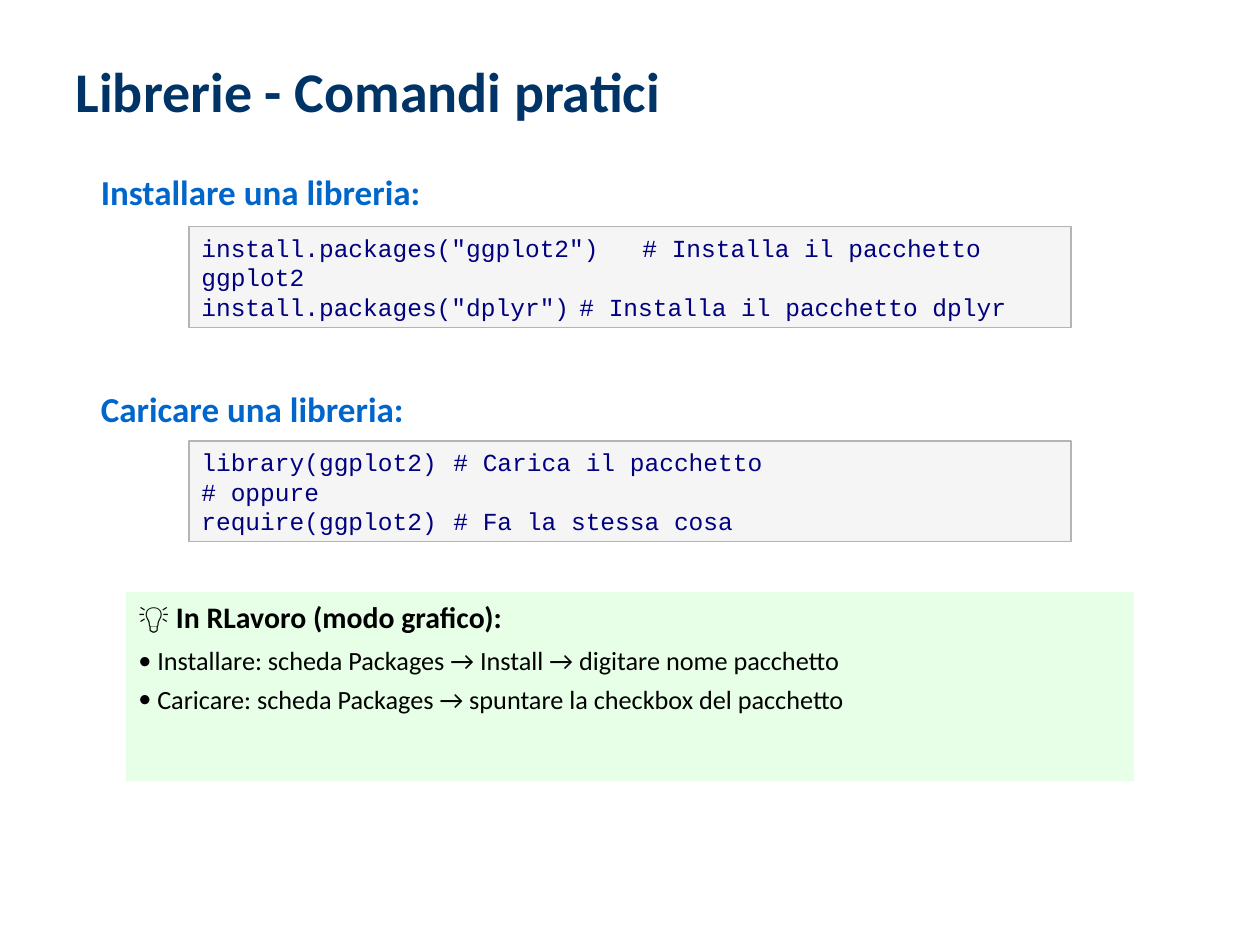
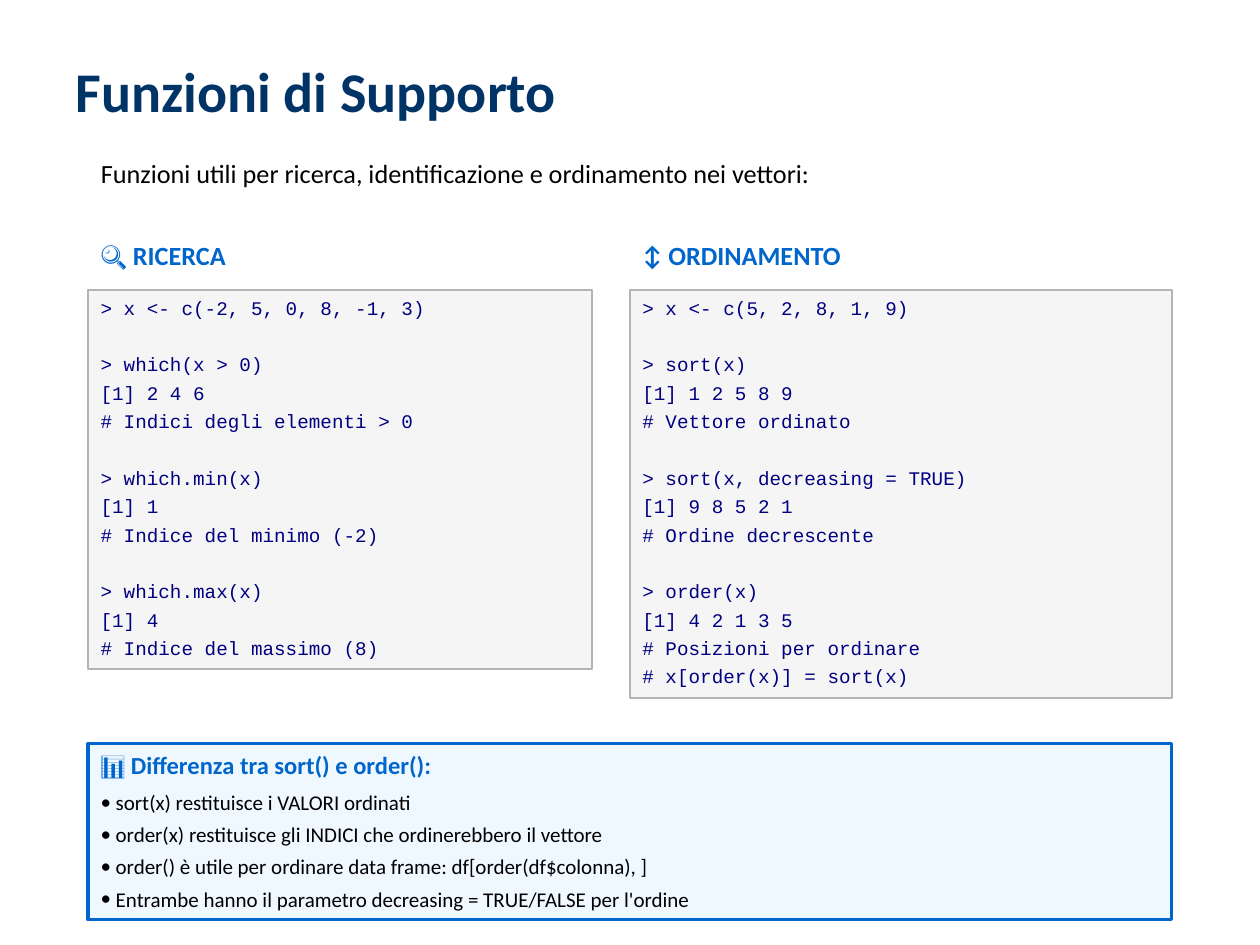
from lxml.etree import SubElement
from pptx import Presentation
from pptx.dml.color import RGBColor
from pptx.enum.shapes import MSO_SHAPE
from pptx.enum.text import MSO_ANCHOR, MSO_AUTO_SIZE, PP_ALIGN
from pptx.oxml.ns import qn
from pptx.util import Inches, Pt

NAVY = RGBColor(0x00, 0x33, 0x66)
BLUE = RGBColor(0x00, 0x66, 0xCC)
CODE_BLUE = RGBColor(0x00, 0x00, 0x80)
BLACK = RGBColor(0x00, 0x00, 0x00)
WHITE = RGBColor(0xFF, 0xFF, 0xFF)
CODE_FILL = RGBColor(0xF5, 0xF5, 0xF5)
CODE_LINE = RGBColor(0xB4, 0xB4, 0xB4)
GREEN_FILL = RGBColor(0xE6, 0xFF, 0xE6)
BLUE_FILL = RGBColor(0xF0, 0xF8, 0xFF)

FRAME = {
    "word_wrap": True,
    "auto_size": MSO_AUTO_SIZE.NONE,
    "vertical_anchor": MSO_ANCHOR.TOP,
    "margin_left": Inches(0.1),
    "margin_right": Inches(0.1),
    "margin_top": Inches(0.05),
    "margin_bottom": Inches(0.05),
}


def text_style(size, color, bold=False, font="Calibri"):
    return {"size": Pt(size), "name": font, "bold": bold}, color


def code_style(size):
    return text_style(size, CODE_BLUE, font="Courier New")


class Deck:
    def __init__(self):
        self.presentation = Presentation()
        self.presentation.slide_width = Inches(10)
        self.presentation.slide_height = Inches(7.5)
        self.page = None

    def add_page(self, title):
        layout = self.presentation.slide_layouts.get_by_name("Title and Content")
        self.page = self.presentation.slides.add_slide(layout)
        self.page.background.fill.solid()
        self.page.background.fill.fore_color.rgb = WHITE
        heading = self.page.shapes.title
        self.place(heading, 0.5, 0.4, 9, 0.7)
        self.add_text(heading, title, text_style(32, NAVY, True))

    def place(self, box, left, top, width, height):
        box.left, box.top = Inches(left), Inches(top)
        box.width, box.height = Inches(width), Inches(height)

    def add_text(self, box, text, style, before=0, bullet_indent=0, tab=None, first=True):
        frame = box.text_frame
        for name, value in FRAME.items():
            setattr(frame, name, value)
        para = frame.paragraphs[0] if first else frame.add_paragraph()
        layout = {
            "alignment": PP_ALIGN.LEFT,
            "line_spacing": 1.0,
            "space_before": Pt(before),
            "space_after": Pt(0),
        }
        for name, value in layout.items():
            setattr(para, name, value)
        properties = para._p.get_or_add_pPr()
        properties.set("marL", str(Inches(bullet_indent)))
        properties.set("indent", str(-Inches(bullet_indent)))
        if bullet_indent:
            SubElement(properties, qn("a:buFont"), typeface="Calibri")
            SubElement(properties, qn("a:buChar"), char="•")
        else:
            SubElement(properties, qn("a:buNone"))
        if tab:
            stops = SubElement(properties, qn("a:tabLst"))
            SubElement(stops, qn("a:tab"), pos=str(Inches(tab)), algn="l")
        span = para.add_run()
        span.text = text
        font_format, color = style
        for name, value in font_format.items():
            setattr(span.font, name, value)
        span.font.color.rgb = color

    def body(self, place, lines, style, gap=0):
        box = self.page.placeholders[1]
        self.place(box, *place)
        for index, line in enumerate(lines):
            self.add_text(box, line, style, gap if index else 0, first=index == 0)

    def label(self, place, text, style):
        box = self.page.shapes.add_textbox(*map(Inches, place))
        self.add_text(box, text, style)

    def panel(self, place, fill, line=None, line_width=1):
        box = self.page.shapes.add_shape(MSO_SHAPE.RECTANGLE, *map(Inches, place))
        box.shadow.inherit = False
        box.fill.solid()
        box.fill.fore_color.rgb = fill
        if line is None:
            box.line.fill.background()
        else:
            box.line.color.rgb = line
            box.line.width = Pt(line_width)
        return box

    def code(self, place, blocks, size, line_width=1, gap=0, block_gap=0, tab=None):
        box = self.panel(place, CODE_FILL, CODE_LINE, line_width)
        first = True
        for block in blocks:
            for index, line in enumerate(block):
                before = 0 if first else gap if index else block_gap
                self.add_text(box, line, code_style(size), before, tab=tab, first=first)
                first = False

    def note(self, place, title, points, title_style, size, indent, fill, line=None):
        box = self.panel(place, fill, line, 2)
        self.add_text(box, title, title_style)
        for index, point in enumerate(points):
            self.add_text(box, point, text_style(size, BLACK), 4 if index else 6,
                          bullet_indent=indent, first=False)


def build_libraries(deck):
    deck.add_page("Librerie - Comandi pratici")
    deck.body((0.7, 1.3, 8.6, 2.18),
              ["Installare una libreria:", "Caricare una libreria:"],
              text_style(20, BLUE, True), gap=100)
    commands = [
        (1.8, 3.38, ['install.packages("ggplot2")\t# Installa il pacchetto ggplot2',
                     'install.packages("dplyr")\t# Installa il pacchetto dplyr']),
        (3.5, 2.45, ["library(ggplot2)\t# Carica il pacchetto",
                     "# oppure",
                     "require(ggplot2)\t# Fa la stessa cosa"]),
    ]
    for top, tab, lines in commands:
        deck.code((1.5, top, 7, 0.8), [lines], 14, line_width=0.75, tab=tab)
    deck.note((1, 4.7, 8, 1.5), "💡 In RLavoro (modo grafico):",
              ["Installare: scheda Packages → Install → digitare nome pacchetto",
               "Caricare: scheda Packages → spuntare la checkbox del pacchetto"],
              text_style(17, BLACK, True), 15, 0.15, GREEN_FILL)


def build_support_functions(deck):
    deck.add_page("Funzioni di Supporto")
    deck.body((0.7, 1.2, 8.6, 0.35),
              ["Funzioni utili per ricerca, identificazione e ordinamento nei vettori:"],
              text_style(15, BLACK))
    columns = [
        (0.7, 4, 3.01, "🔍 RICERCA", [
            ["> x <- c(-2, 5, 0, 8, -1, 3)"],
            ["> which(x > 0)", "[1] 2 4 6", "# Indici degli elementi > 0"],
            ["> which.min(x)", "[1] 1", "# Indice del minimo (-2)"],
            ["> which.max(x)", "[1] 4", "# Indice del massimo (8)"],
        ]),
        (5, 4.3, 3.24, "↕️ ORDINAMENTO", [
            ["> x <- c(5, 2, 8, 1, 9)"],
            ["> sort(x)", "[1] 1 2 5 8 9", "# Vettore ordinato"],
            ["> sort(x, decreasing = TRUE)", "[1] 9 8 5 2 1", "# Ordine decrescente"],
            ["> order(x)", "[1] 4 2 1 3 5", "# Posizioni per ordinare",
             "# x[order(x)] = sort(x)"],
        ]),
    ]
    for left, width, height, heading, blocks in columns:
        deck.label((left, 1.85, width, 0.35), heading, text_style(15, BLUE, True))
        deck.code((left, 2.3, width, height), blocks, 11, gap=3, block_gap=19.2)
    deck.note((0.7, 5.9, 8.6, 1.4), "📊 Differenza tra sort() e order():",
              ["sort(x) restituisce i VALORI ordinati",
               "order(x) restituisce gli INDICI che ordinerebbero il vettore",
               "order() è utile per ordinare data frame: df[order(df$colonna), ]",
               "Entrambe hanno il parametro decreasing = TRUE/FALSE per l'ordine"],
              text_style(14, BLUE, True), 12, 0.12, BLUE_FILL, BLUE)


def main():
    deck = Deck()
    build_libraries(deck)
    build_support_functions(deck)
    deck.presentation.save("out.pptx")


if __name__ == "__main__":
    main()
